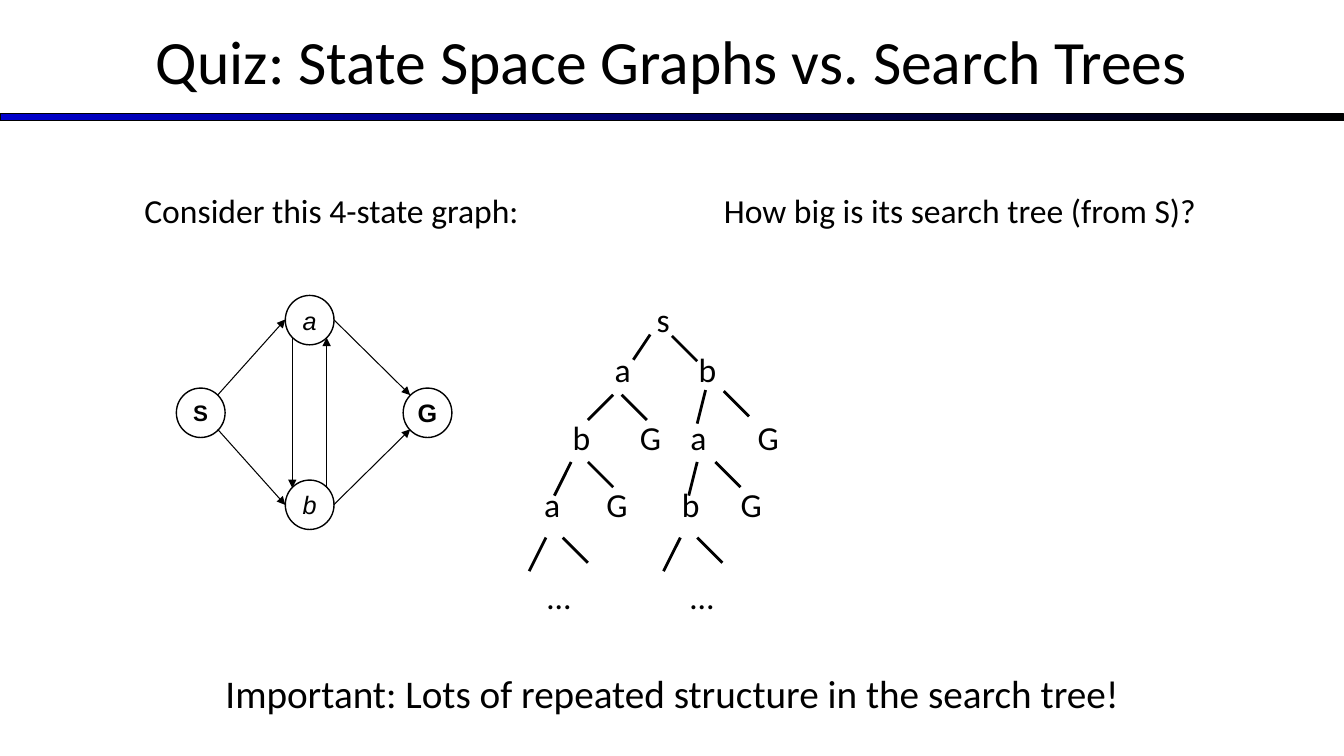
from lxml import etree
from pptx import Presentation
from pptx.dml.color import RGBColor
from pptx.enum import shapes, text
from pptx.oxml import ns
from pptx.util import Pt

COLOURS = {"ink": "000000", "blue": "0000CC"}
WIDTH, HEIGHT = 960, 540
BAR = (0, 81.4, WIDTH, 5)
TITLE = ("Quiz: State Space Graphs vs. Search Trees", 0, -2, WIDTH, 90, 44)
CAPTIONS = [
    ("Consider this 4-state graph:", 96, 132, 306, 36, 24, False),
    ("How big is its search tree (from S)?", 510, 132, 402, 36, 24, False),
    ("Important: Lots of repeated structure in the search tree!",
     0, 474.6, WIDTH, 41, 28, True),
]

NODE_SIZE = (34.8, 35.3)
NODES = [
    ("S", 126, 277.2, 16, True),
    ("G", 288, 277.2, 18, True),
    ("b", 203.8, 342.9, 18, False),
    ("a", 203.8, 211, 18, False),
]
EDGES = {
    "S to a": (155.5, 282.2, 203.8, 228.2),
    "S to b": (155.5, 306.7, 203.8, 360.7),
    "a to b": (208.8, 241.2, 208.8, 348.5),
    "b to a": (233.3, 348.5, 233.3, 241.2),
    "a to G": (238.3, 228.2, 293, 282.2),
    "b to G": (238.3, 360.7, 293, 306.7),
}

LETTER_WIDTHS = {"s": 24, "a": 26, "b": 27.4, "G": 29.5, "…": 31}
TREE_ROWS = [
    (210, [("s", 462)]),
    (246, [("a", 432), ("b", 492)]),
    (294, [("b", 402), ("G", 450), ("a", 486), ("G", 534)]),
    (342, [("a", 381.6), ("G", 426), ("b", 480), ("G", 522)]),
    (408, [("…", 384), ("…", 486)]),
]
LEFT_BRANCHES = [
    (464.4, 239, 12, 18),
    (438, 282, 18, 18),
    (504, 278.6, 6, 24),
    (408, 330, 12, 24),
    (498, 330, 6, 24),
    (390, 384, 12, 24),
    (486, 384, 12, 24),
]
RIGHT_STEP = 18
RIGHT_BRANCHES = [
    (480, 240), (444, 282), (517, 279.4), (420, 330),
    (511, 330), (402, 384), (498, 384),
]


def colour(name):
    return RGBColor.from_string(COLOURS[name])


def write(shape, words, size, font="Calibri", centred=False, middle=False,
          wrap=True, bold=False, italic=False):
    frame = shape.text_frame
    frame.text = words
    frame.word_wrap = wrap
    frame.vertical_anchor = text.MSO_ANCHOR.MIDDLE if middle else text.MSO_ANCHOR.TOP
    para = frame.paragraphs[0]
    para.alignment = text.PP_ALIGN.CENTER if centred else text.PP_ALIGN.LEFT
    span = para.runs[0]
    span.font.name = font
    span.font.size = Pt(size)
    span.font.bold = bold
    span.font.italic = italic
    span.font.color.rgb = colour("ink")


def add_text(page, words, left, top, width, height, size, **style):
    box = page.shapes.add_textbox(Pt(left), Pt(top), Pt(width), Pt(height))
    write(box, words, size, **style)


def add_line(page, start_x, start_y, end_x, end_y, weight, arrow=False):
    line = page.shapes.add_connector(
        shapes.MSO_CONNECTOR.STRAIGHT,
        Pt(start_x), Pt(start_y), Pt(end_x), Pt(end_y))
    line.line.color.rgb = colour("ink")
    line.line.width = Pt(weight)
    if arrow:
        etree.SubElement(line.line._get_or_add_ln(), ns.qn("a:tailEnd"), type="triangle")
    etree.SubElement(line._element.spPr, ns.qn("a:effectLst"))


def add_outlined(page, kind, left, top, width, height, weight):
    shape = page.shapes.add_shape(kind, Pt(left), Pt(top), Pt(width), Pt(height))
    shape.shadow.inherit = False
    shape.line.color.rgb = colour("ink")
    shape.line.width = Pt(weight)
    return shape


def add_heading(page):
    bar = add_outlined(page, shapes.MSO_SHAPE.RECTANGLE, *BAR, 0.75)
    bar.fill.gradient()
    bar.fill.gradient_angle = 0
    for stop, position, name in zip(bar.fill.gradient_stops, (0, 1), ("blue", "ink")):
        stop.position = position
        stop.color.rgb = colour(name)
    add_text(page, *TITLE, centred=True, middle=True)


def add_graph(page):
    for name, left, top, size, bold in NODES:
        node = add_outlined(page, shapes.MSO_SHAPE.FLOWCHART_CONNECTOR,
                            left, top, *NODE_SIZE, 1)
        node.fill.background()
        write(node, name, size, font="Arial", centred=True, middle=True,
              wrap=False, bold=bold, italic=not bold)
    for ends in EDGES.values():
        add_line(page, *ends, 0.75, arrow=True)


def add_tree(page):
    for top, letters in TREE_ROWS:
        for letter, left in letters:
            add_text(page, letter, left, top, LETTER_WIDTHS[letter], 36, 24, wrap=False)
    for x, y, across, down in LEFT_BRANCHES:
        add_line(page, x, y, x - across, y + down, 2)
    for x, y in RIGHT_BRANCHES:
        add_line(page, x, y, x + RIGHT_STEP, y + RIGHT_STEP, 2)


def main():
    deck = Presentation()
    deck.slide_width, deck.slide_height = Pt(WIDTH), Pt(HEIGHT)
    page = deck.slides.add_slide(deck.slide_layouts[6])
    add_heading(page)
    add_graph(page)
    for *caption, centred in CAPTIONS:
        add_text(page, *caption, centred=centred)
    add_tree(page)
    deck.save("out.pptx")


if __name__ == "__main__":
    main()
